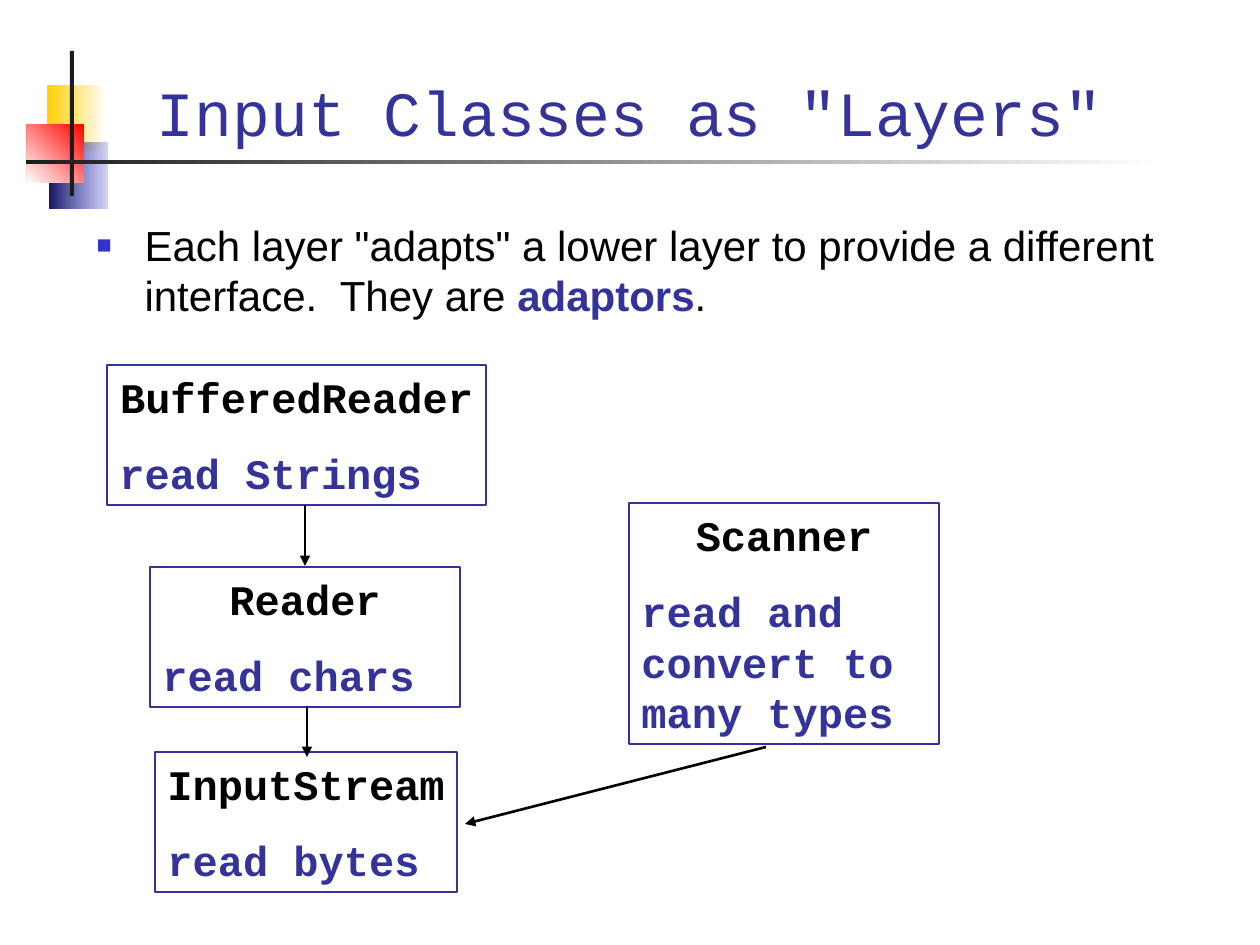
from lxml import etree
from pptx import Presentation
from pptx.dml.color import RGBColor
from pptx.enum import shapes, text
from pptx.oxml import ns
from pptx.util import Emu, Pt

THEME = {
    "navy": "333399", "black": "000000", "bullet": "3333CC", "axis": "1C1C1C",
    "white": "FFFFFF", "yellow": "FFCF01", "red": "FF0000", "deep": "17175E",
    "sans": "Arial", "mono": "Courier New", "title": 36, "body": 24,
}
SCALE = 914400 / 126


def px(*lengths):
    return [Emu(round(length * SCALE)) for length in lengths]


def add_span(para, words, face, size, color, bold=False):
    span = para.add_run()
    span.text = words
    formats = {"name": THEME[face], "size": Pt(THEME[size]), "bold": bold}
    for name, value in formats.items():
        setattr(span.font, name, value)
    span.font.color.rgb = RGBColor.from_string(THEME[color])


deck = Presentation()
deck.slide_width, deck.slide_height = px(1260, 945)
page = deck.slides.add_slide(deck.slide_layouts[1])
title, body = page.placeholders

ornaments = [
    ((47, 85, 59, 65), ("white", "yellow"), 180),
    ((49, 143, 58, 66), ("bullet", "deep"), 180),
    ((27, 124, 57, 59), ("red", "white"), 225),
    ((70, 51, 4, 145), ("axis",), None),
    ((26, 160, 1134, 4), ("white", "axis"), 180),
]
for frame, colors, angle in ornaments:
    ornament = page.shapes.add_shape(shapes.MSO_SHAPE.RECTANGLE, *px(*frame))
    ornament.shadow.inherit = False
    ornament.line.fill.background()
    if angle is None:
        ornament.fill.solid()
        ornament.fill.fore_color.rgb = RGBColor.from_string(THEME[colors[0]])
        continue
    ornament.fill.gradient()
    ornament.fill.gradient_angle = angle
    for stop, color in zip(ornament.fill.gradient_stops, colors):
        stop.color.rgb = RGBColor.from_string(THEME[color])
    if colors[0] == "bullet":
        tint = ornament.element.find(".//" + ns.qn("a:srgbClr"))
        etree.SubElement(tint, ns.qn("a:alpha"), val="20000")

placements = [
    (title, (84, 35, 1091, 120), text.MSO_ANCHOR.BOTTOM),
    (body, (84, 213, 1091, 130), text.MSO_ANCHOR.TOP),
]
for holder, frame, anchor in placements:
    holder.left, holder.top, holder.width, holder.height = px(*frame)
    holder.text_frame.auto_size = text.MSO_AUTO_SIZE.NONE
    holder.text_frame.vertical_anchor = anchor
    holder.element.getparent().append(holder.element)

heading = title.text_frame.paragraphs[0]
heading.alignment = text.PP_ALIGN.CENTER
add_span(heading, 'Input Classes as "Layers"', "mono", "title", "navy")

point = body.text_frame.paragraphs[0]
settings = point._p.get_or_add_pPr()
indent = px(48)[0]
settings.set("marL", str(indent))
settings.set("indent", str(-indent))
bullet_color = etree.SubElement(settings, ns.qn("a:buClr"))
etree.SubElement(bullet_color, ns.qn("a:srgbClr"), val=THEME["bullet"])
etree.SubElement(settings, ns.qn("a:buSzPct"), val="60000")
etree.SubElement(settings, ns.qn("a:buFont"), typeface=THEME["sans"])
etree.SubElement(settings, ns.qn("a:buChar"), char="■")
point.space_before = Pt(0)
add_span(point, 'Each layer "adapts" a lower layer to provide a different interface.  They are ',
         "sans", "body", "black")
add_span(point, "adaptors", "sans", "body", "navy", True)
add_span(point, ".", "sans", "body", "black")

layers = [
    ("InputStream", "read bytes", (155, 752, 302, 140), False),
    ("Reader", "read chars", (150, 567, 310, 140), True),
    ("BufferedReader", "read Strings", (107, 365, 379, 140), True),
    ("Scanner", "read and convert to many types", (629, 503, 310, 241), True),
]
for name, role, frame, wraps in layers:
    box = page.shapes.add_shape(shapes.MSO_SHAPE.RECTANGLE, *px(*frame))
    box.shadow.inherit = False
    box.fill.background()
    box.line.color.rgb = RGBColor.from_string(THEME["navy"])
    box.line.width = Pt(0.75)
    formats = {"word_wrap": wraps, "vertical_anchor": text.MSO_ANCHOR.TOP,
               "auto_size": text.MSO_AUTO_SIZE.SHAPE_TO_FIT_TEXT}
    for key, value in formats.items():
        setattr(box.text_frame, key, value)
    label = box.text_frame.paragraphs[0]
    label.alignment = text.PP_ALIGN.CENTER if wraps else text.PP_ALIGN.LEFT
    add_span(label, name, "mono", "body", "black", True)
    detail = box.text_frame.add_paragraph()
    detail.alignment = text.PP_ALIGN.LEFT
    detail.space_before = Pt(15)
    add_span(detail, role, "mono", "body", "navy", True)

for ends in [(307, 706, 307, 757), (305, 505, 305, 566), (766, 747, 465, 824)]:
    arrow = page.shapes.add_connector(shapes.MSO_CONNECTOR.STRAIGHT, *px(*ends))
    arrow.line.color.rgb = RGBColor.from_string(THEME["black"])
    arrow.line.width = Pt(1.5)
    etree.SubElement(arrow.line._get_or_add_ln(), ns.qn("a:tailEnd"), type="triangle")
    etree.SubElement(arrow.element.spPr, ns.qn("a:effectLst"))

deck.save("out.pptx")
